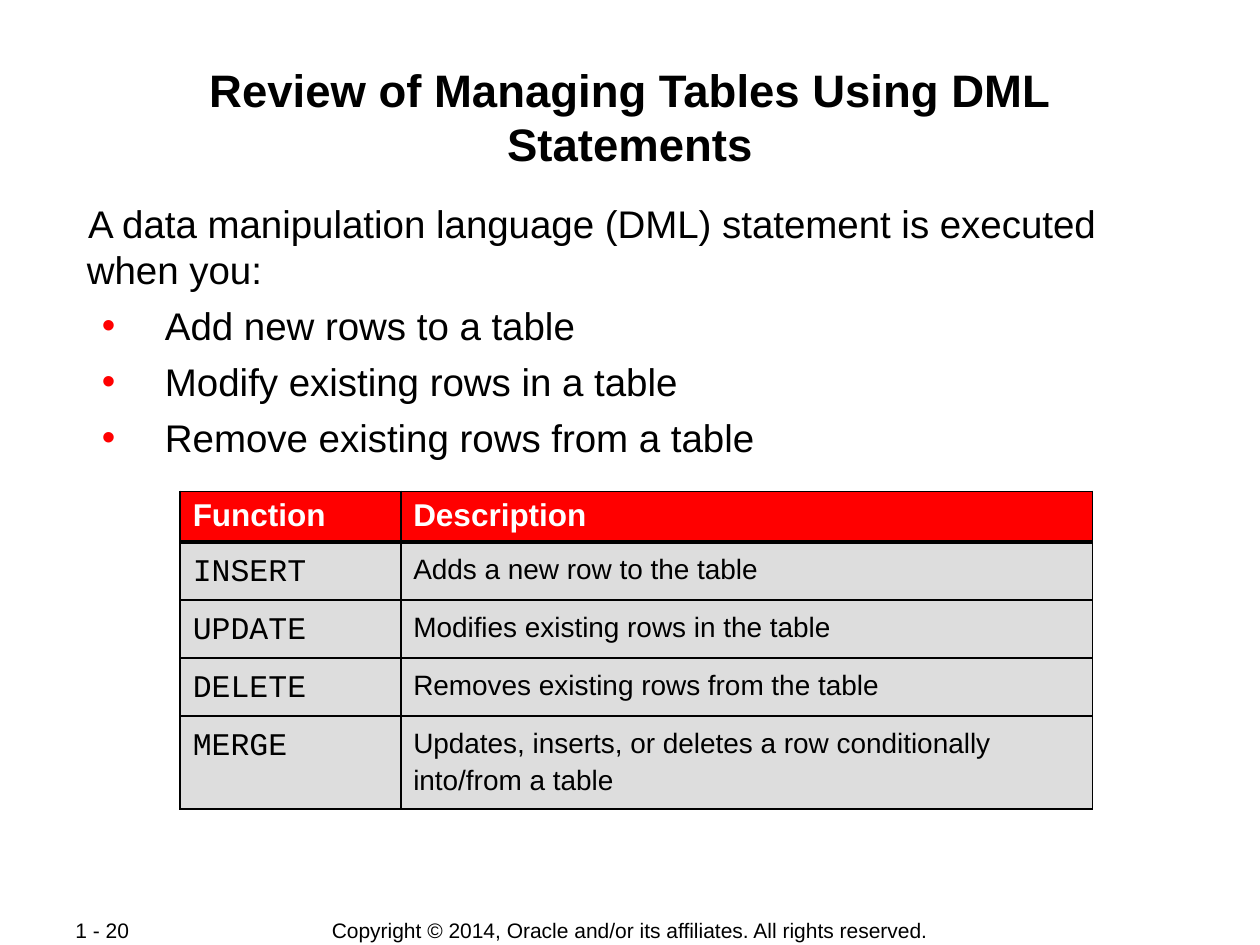
from dataclasses import dataclass, field

from lxml.etree import SubElement
from pptx import Presentation
from pptx.dml.color import RGBColor
from pptx.enum.text import MSO_ANCHOR as Anchor, PP_ALIGN as Align
from pptx.oxml.ns import qn
from pptx.util import Inches, Pt

BLACK, WHITE, RED, GRAY = "000000", "FFFFFF", "FF0000", "DDDDDD"
SANS, MONO = "Arial", "Courier New"
THIN, THICK = 1.08, 2.21


@dataclass
class Style:
    size: float
    color: str = BLACK
    name: str = SANS
    bold: bool = False
    layout: dict = field(default_factory=dict)


@dataclass
class TextArea:
    left: float
    top: float
    width: float
    height: float
    inset: tuple
    anchor: Anchor = Anchor.TOP
    wrap: bool = True


def rgb(value: str) -> RGBColor:
    return RGBColor.from_string(value)


def apply(target, values: dict) -> None:
    for name, value in values.items():
        setattr(target, name, value)


def write(para, text: str, style: Style) -> None:
    apply(para, style.layout)
    span = para.add_run()
    span.text = text
    apply(span.font, {"size": Pt(style.size), "name": style.name, "bold": style.bold})
    span.font.color.rgb = rgb(style.color)


def add_text_area(page, area: TextArea):
    box = page.shapes.add_textbox(
        *(Inches(value) for value in (area.left, area.top, area.width, area.height)))
    frame = box.text_frame
    across, down = (Inches(value) for value in area.inset)
    apply(frame, {"margin_left": across, "margin_right": across, "margin_top": down,
                  "margin_bottom": down, "vertical_anchor": area.anchor,
                  "word_wrap": area.wrap})
    return frame


def indent(para, left: float, first: float) -> None:
    properties = para._p.get_or_add_pPr()
    properties.set("marL", str(Inches(left)))
    properties.set("indent", str(Inches(first)))


def add_bullet(para) -> None:
    indent(para, 0.63, -0.5)
    properties = para._p.get_or_add_pPr()
    color = SubElement(properties, qn("a:buClr"))
    SubElement(color, qn("a:srgbClr"), val=RED)
    SubElement(properties, qn("a:buFont"), typeface=SANS)
    SubElement(properties, qn("a:buChar"), char="•")


def set_borders(cell, top: float, bottom: float) -> None:
    properties = cell._tc.get_or_add_tcPr()
    sides = {"a:lnL": THIN, "a:lnR": THIN, "a:lnT": top, "a:lnB": bottom}
    for position, (side, width) in enumerate(sides.items()):
        line = SubElement(properties, qn(side), w=str(Pt(width)))
        fill = SubElement(line, qn("a:solidFill"))
        SubElement(fill, qn("a:srgbClr"), val=BLACK)
        properties.insert(position, line)


def add_function_table(page, rows: list, widths: list, heights: list) -> None:
    frame = page.shapes.add_table(
        len(rows), len(widths), Inches(1.43), Inches(3.9),
        Inches(sum(widths)), Inches(sum(heights)))
    table = frame.table
    for column, width in zip(table.columns, widths):
        column.width = Inches(width)
    header = Style(18, WHITE, bold=True)
    body = [Style(18, name=MONO, layout={"line_spacing": 1.2}),
            Style(16, layout={"line_spacing": 1.2})]
    for row_index, (texts, height) in enumerate(zip(rows, heights)):
        table.rows[row_index].height = Inches(height)
        for column_index, text in enumerate(texts):
            cell = table.cell(row_index, column_index)
            is_header = row_index == 0
            cell.fill.solid()
            cell.fill.fore_color.rgb = rgb(RED if is_header else GRAY)
            set_borders(cell, THICK if row_index == 1 else THIN,
                        THICK if is_header else THIN)
            write(cell.text_frame.paragraphs[0], text,
                  header if is_header else body[column_index])


def main() -> None:
    deck = Presentation()
    deck.slide_width, deck.slide_height = Inches(10), Inches(7.5)
    page = deck.slides.add_slide(deck.slide_layouts[6])

    footers = [
        (2.4, 7.28, 5.2, 0.21, Align.CENTER,
         "Copyright © 2014, Oracle and/or its affiliates. All rights reserved."),
        (0.5, 7.28, 1.06, 0.2, Align.JUSTIFY, "1 - 20"),
    ]
    for *place, alignment, text in footers:
        frame = add_text_area(page, TextArea(*place, (0.1, 0.05), Anchor.MIDDLE, False))
        write(frame.paragraphs[0], text, Style(12, layout={"alignment": alignment}))

    title = add_text_area(page, TextArea(0.67, 0.48, 8.66, 0.96, (0.01, 0.01)))
    write(title.paragraphs[0], "Review of Managing Tables Using DML Statements",
          Style(26, bold=True, layout={"alignment": Align.CENTER}))

    content = add_text_area(page, TextArea(0.67, 1.58, 8.66, 2.1, (0.01, 0.01)))
    intro = content.paragraphs[0]
    indent(intro, 0.01, 0.01)
    write(intro, "A data manipulation language (DML) statement is executed when you:",
          Style(22))
    for text in ("Add new rows to a table", "Modify existing rows in a table",
                 "Remove existing rows from a table"):
        para = content.add_paragraph()
        add_bullet(para)
        write(para, text, Style(22, layout={"space_before": Pt(5.5)}))

    rows = [
        ("Function", "Description"),
        ("INSERT", "Adds a new row to the table"),
        ("UPDATE", "Modifies existing rows in the table"),
        ("DELETE", "Removes existing rows from the table"),
        ("MERGE", "Updates, inserts, or deletes a row conditionally into/from a table"),
    ]
    add_function_table(page, rows, [1.75, 5.49], [0.4, 0.46, 0.46, 0.46, 0.74])
    deck.save("out.pptx")


if __name__ == "__main__":
    main()
